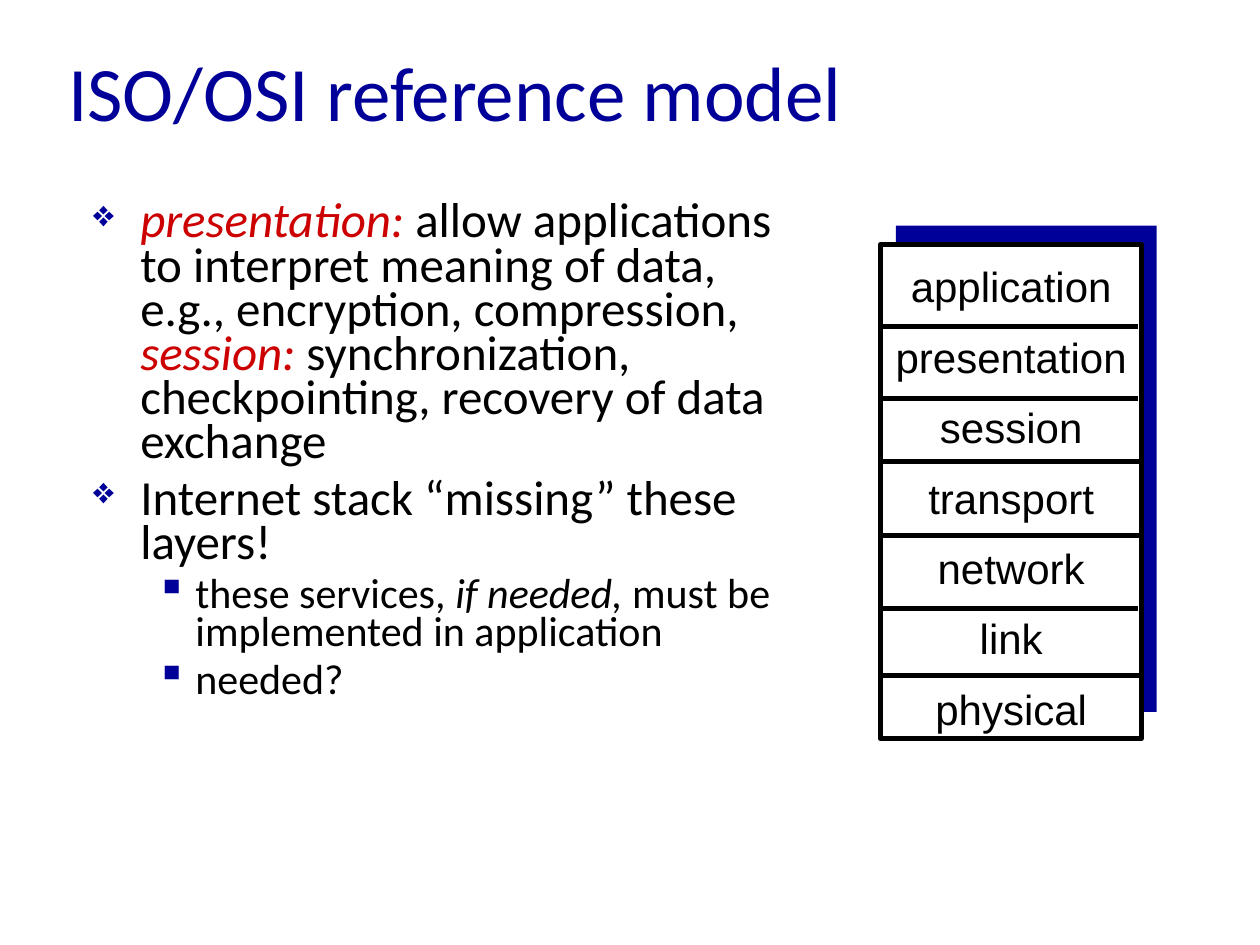
from dataclasses import dataclass

from pptx import Presentation
from pptx.dml.color import RGBColor
from pptx.enum.shapes import MSO_CONNECTOR, MSO_SHAPE
from pptx.enum.text import MSO_ANCHOR, PP_ALIGN
from pptx.oxml.xmlchemy import OxmlElement
from pptx.util import Cm, Pt

NAVY, RED, BLACK, WHITE = "000099", "CC0000", "000000", "FFFFFF"


@dataclass
class Phrase:
    text: str
    color: str = BLACK
    italic: bool = False


@dataclass
class BulletStyle:
    level: int
    mark: str
    mark_percent: int
    indent: float
    hanging: float
    size: int
    space_before: int


@dataclass
class Bullet:
    style: BulletStyle
    phrases: list[Phrase]


@dataclass
class Divider:
    left: float
    top: float


MAIN = BulletStyle(0, "❖", 75, 0.95, 0.95, 28, 7)
SUB = BulletStyle(1, "▪", 100, 2.06, 0.79, 24, 6)

BULLETS = [
    Bullet(MAIN, [
        Phrase("presentation:", RED, True),
        Phrase(" allow applications to interpret meaning of data, e.g., encryption, compression, "),
        Phrase("session:", RED, True),
        Phrase(" synchronization, checkpointing, recovery of data exchange"),
    ]),
    Bullet(MAIN, [Phrase("Internet stack “missing” these layers!")]),
    Bullet(SUB, [
        Phrase("these services, "),
        Phrase("if needed,", italic=True),
        Phrase(" must be implemented in application"),
    ]),
    Bullet(SUB, [Phrase("needed?")]),
]

LAYERS = ["application", "presentation", "session", "transport",
          "network", "link", "physical"]
LAYER_GAP = 20.1
DIVIDERS = [Divider(17.7, 6.58), Divider(17.7, 8.03), Divider(17.73, 9.3),
            Divider(17.73, 10.8), Divider(17.7, 12.27), Divider(17.73, 13.61)]
DIVIDER_WIDTH = 5.25


def rgb(color: str) -> RGBColor:
    return RGBColor.from_string(color)


def format_font(font, face: str, size: int, color: str, italic: bool = False) -> None:
    font.name, font.size, font.italic = face, Pt(size), italic
    font.color.rgb = rgb(color)


def add_box(slide, left: float, top: float, width: float, height: float, fill: str):
    box = slide.shapes.add_shape(MSO_SHAPE.RECTANGLE, Cm(left), Cm(top), Cm(width), Cm(height))
    box.shadow.inherit = False
    box.fill.solid()
    box.fill.fore_color.rgb = rgb(fill)
    box.line.fill.background()
    return box


def add_text_frame(slide, left: float, top: float, width: float, height: float):
    frame = slide.shapes.add_textbox(Cm(left), Cm(top), Cm(width), Cm(height)).text_frame
    frame.word_wrap = True
    return frame


def set_bullet(paragraph, style: BulletStyle) -> None:
    paragraph.level = style.level
    properties = paragraph._p.get_or_add_pPr()
    properties.set("marL", str(Cm(style.indent)))
    properties.set("indent", str(-Cm(style.hanging)))
    mark_color = OxmlElement("a:buClr")
    navy = OxmlElement("a:srgbClr")
    navy.set("val", NAVY)
    mark_color.append(navy)
    mark_size = OxmlElement("a:buSzPct")
    mark_size.set("val", str(style.mark_percent * 1000))
    mark = OxmlElement("a:buChar")
    mark.set("char", style.mark)
    for element in (mark_color, mark_size, mark):
        properties.append(element)


def add_bullets(slide, bullets: list[Bullet]) -> None:
    frame = add_text_frame(slide, 1.63, 3.96, 14.33, 12.9)
    for index, bullet in enumerate(bullets):
        paragraph = frame.add_paragraph() if index else frame.paragraphs[0]
        set_bullet(paragraph, bullet.style)
        paragraph.line_spacing = 0.75
        paragraph.space_before = Pt(bullet.style.space_before if index else 0)
        for phrase in bullet.phrases:
            run = paragraph.add_run()
            run.text = phrase.text
            format_font(run.font, "Calibri", bullet.style.size, phrase.color, phrase.italic)


def add_layer_names(slide, names: list[str]) -> None:
    frame = add_text_frame(slide, 17.63, 5.41, 5.51, 9.5)
    frame.text = "\n".join(names)
    for index, paragraph in enumerate(frame.paragraphs):
        paragraph.alignment = PP_ALIGN.CENTER
        paragraph.line_spacing = 0.7
        paragraph.space_before = Pt(LAYER_GAP if index else 0)
        format_font(paragraph.runs[0].font, "Arial", 24, BLACK)


def add_divider(slide, divider: Divider) -> None:
    line = slide.shapes.add_connector(
        MSO_CONNECTOR.STRAIGHT, Cm(divider.left), Cm(divider.top),
        Cm(divider.left + DIVIDER_WIDTH), Cm(divider.top))
    line.line.color.rgb = rgb(BLACK)
    line.line.width = Pt(3)
    line._element.spPr.append(OxmlElement("a:effectLst"))


def main() -> None:
    deck = Presentation()
    deck.slide_width, deck.slide_height = Cm(25.4), Cm(19.05)
    slide = deck.slides.add_slide(deck.slide_layouts[5])

    # Title
    title = slide.shapes.title
    title.left, title.top, title.width, title.height = Cm(1.12), Cm(0.23), Cm(18.06), Cm(3.18)
    title.text_frame.text = "ISO/OSI reference model"
    title.text_frame.vertical_anchor = MSO_ANCHOR.MIDDLE
    heading = title.text_frame.paragraphs[0]
    heading.alignment = PP_ALIGN.LEFT
    format_font(heading.runs[0].font, "Calibri", 44, NAVY)

    # Explanation
    add_bullets(slide, BULLETS)

    # Layer stack on its navy backdrop
    add_box(slide, 18.06, 4.55, 5.26, 9.8, NAVY)
    stack = add_box(slide, 17.75, 4.93, 5.26, 9.96, WHITE)
    stack.line.color.rgb = rgb(BLACK)
    stack.line.width = Pt(3)
    add_layer_names(slide, LAYERS)
    for divider in DIVIDERS:
        add_divider(slide, divider)

    deck.save("out.pptx")


if __name__ == "__main__":
    main()
